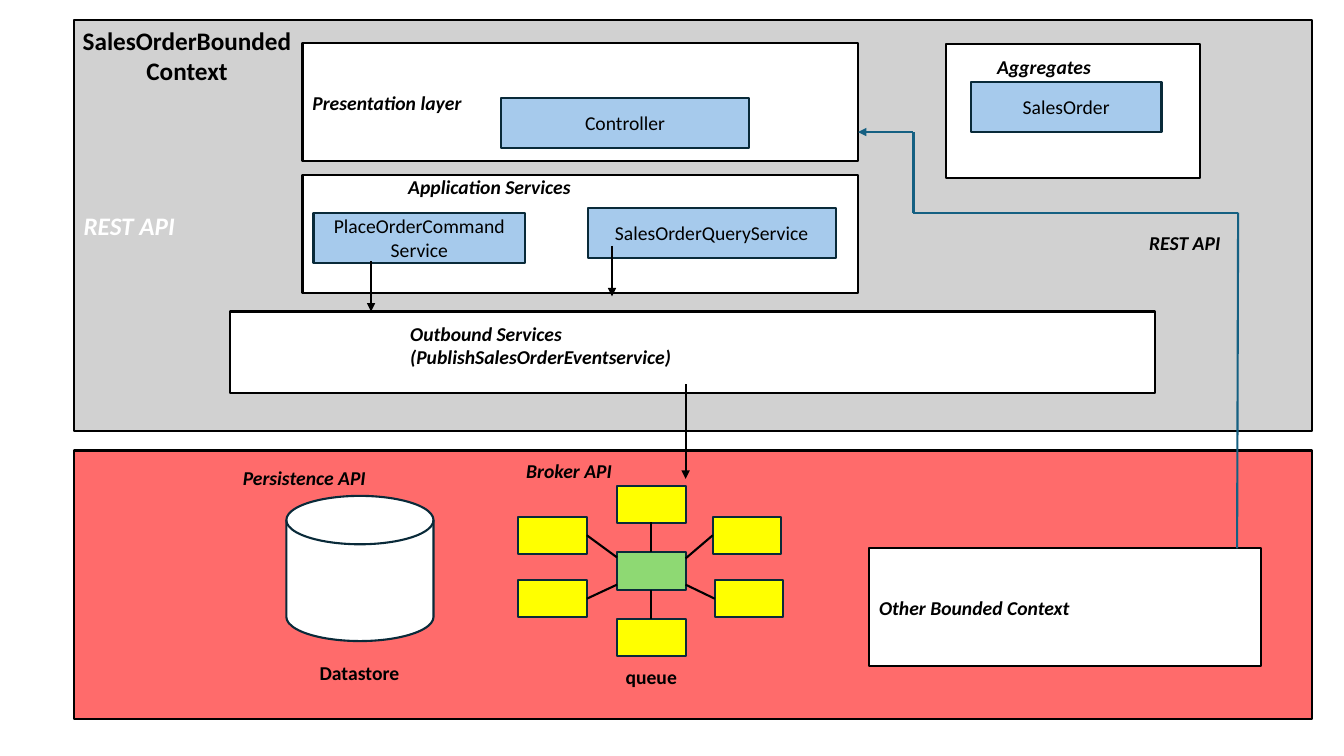
from itertools import pairwise

from lxml import etree
from pptx import Presentation
from pptx.dml import color
from pptx.enum import shapes, text
from pptx.oxml import ns
from pptx.util import Inches, Pt

FONT = "Calibri"
BLACK, WHITE, NAVY, TEAL = "000000", "FFFFFF", "092A39", "156082"
SKY, GREY, RED, YELLOW, GREEN = "A6CAEC", "D1D1D1", "FF0000", "FFFF00", "8ED973"
LEFT, CENTER = text.PP_ALIGN.LEFT, text.PP_ALIGN.CENTER
RECT = shapes.MSO_SHAPE.RECTANGLE


def paint(target, hex_color):
    """Colour a font, or a fill already made solid."""
    target.rgb = color.RGBColor.from_string(hex_color)


def add_xml(parent, tag, **attributes):
    return etree.SubElement(parent, ns.qn(tag), attributes)


def write(frame, lines, size=14, ink=BLACK, bold=False, italic=False, align=LEFT):
    frame.word_wrap = True
    frame.text = lines
    for paragraph in frame.paragraphs:
        paragraph.alignment = align
        font = paragraph.font
        font.name, font.size = FONT, Pt(size)
        font.bold, font.italic = bold, italic
        paint(font.color, ink)


def box(parent, left, top, width, height, fill=WHITE, line=BLACK, kind=RECT, opacity=None):
    shape = parent.add_shape(kind, Inches(left), Inches(top), Inches(width), Inches(height))
    shape.shadow.inherit = False
    shape.fill.solid()
    paint(shape.fill.fore_color, fill)
    if opacity:
        tint = shape.element.spPr.find(".//" + ns.qn("a:srgbClr"))
        add_xml(tint, "a:alpha", val=str(opacity * 1000))
    shape.line.width = Pt(1.5)
    paint(shape.line.color, line)
    shape.text_frame.vertical_anchor = text.MSO_ANCHOR.MIDDLE
    return shape


def layer(parent, left, top, label):
    """White box with a bold italic name at its left."""
    def place(width):
        shape = box(parent, left, top, width, 1.17)
        write(shape.text_frame, label, bold=True, italic=True)
    return place


def component(parent, left, top, width, name):
    shape = box(parent, left, top, width, 0.5, SKY, NAVY)
    write(shape.text_frame, name, align=CENTER)


def caption(parent, left, top, width, words, height=0.34, italic=True, align=LEFT):
    label = parent.add_textbox(Inches(left), Inches(top), Inches(width), Inches(height))
    write(label.text_frame, words, bold=True, italic=italic, align=align)


def link(parent, start, end, ink=BLACK, arrow=False):
    line = parent.add_connector(shapes.MSO_CONNECTOR.STRAIGHT,
                                *(Inches(value) for value in start + end))
    line.line.width = Pt(1.5)
    paint(line.line.color, ink)
    if arrow:
        add_xml(line.line._get_or_add_ln(), "a:tailEnd", type="triangle")
    add_xml(line.element.spPr, "a:effectLst")


def broker(parent):
    """Hub with six nodes around it."""
    cluster = parent.add_group_shape().shapes
    for left, top in [(5.14, 5.13), (5.14, 5.75), (6.12, 4.82),
                      (7.07, 5.13), (7.09, 5.75), (6.12, 6.14)]:
        box(cluster, left, top, 0.68, 0.37, YELLOW, NAVY)
    box(cluster, 6.12, 5.48, 0.68, 0.37, GREEN, NAVY)
    for start, end in [((6.46, 5.48), (6.46, 5.18)), ((6.8, 5.54), (7.07, 5.31)),
                       ((6.8, 5.8), (7.09, 5.94)), ((6.46, 5.85), (6.46, 6.14)),
                       ((6.12, 5.8), (5.82, 5.94)), ((6.12, 5.53), (5.82, 5.31))]:
        link(cluster, start, end)


def heading(title):
    title.left, title.top = Inches(0.56), Inches(0.2)
    title.width, title.height = Inches(2.59), Inches(0.71)
    write(title.text_frame, "SalesOrderBounded Context", size=18, bold=True, align=CENTER)
    title.text_frame.auto_size = text.MSO_AUTO_SIZE.NONE
    title.text_frame.vertical_anchor = text.MSO_ANCHOR.TOP
    # Bring the title in front of the context panel
    title.element.getparent().append(title.element)


def main():
    deck = Presentation()
    deck.slide_width, deck.slide_height = Inches(13.33), Inches(7.5)
    slide = deck.slides.add_slide(deck.slide_layouts[5])
    canvas = slide.shapes

    # Bounded context panel
    context = box(canvas, 0.73, 0.2, 12.28, 4.08, GREY)
    write(context.text_frame, "REST API", size=18, ink=WHITE, bold=True, italic=True)
    heading(canvas.title)

    # Application services
    box(canvas, 3, 1.74, 5.51, 1.17)
    caption(canvas, 3.95, 1.69, 1.89, "Application Services")
    component(canvas, 3.11, 2.11, 2.1, "PlaceOrderCommand\nService")
    component(canvas, 5.83, 2.06, 2.46, "SalesOrderQueryService")

    # Aggregates
    box(canvas, 9.38, 0.44, 2.52, 1.33)
    caption(canvas, 9.41, 0.5, 1.89, "Aggregates", align=CENTER)
    component(canvas, 9.63, 0.81, 1.89, "SalesOrder")

    # Outbound services
    box(canvas, 2.28, 3.09, 9.18, 0.81)
    link(canvas, (3.68, 2.59), (3.68, 3.09), arrow=True)
    link(canvas, (6.07, 2.44), (6.07, 2.94), arrow=True)
    caption(canvas, 3.97, 3.14, 4.01,
            "Outbound Services (PublishSalesOrderEventservice)", height=0.57)

    # Infrastructure panel
    box(canvas, 0.73, 4.47, 12.28, 2.66, RED, opacity=58)
    link(canvas, (6.8, 3.81), (6.8, 4.75), arrow=True)
    caption(canvas, 2.31, 4.57, 1.67, "Persistence API")
    caption(canvas, 5.12, 4.5, 1.25, "Broker API")
    box(canvas, 2.84, 4.92, 1.46, 1.44, WHITE, NAVY,
        shapes.MSO_SHAPE.FLOWCHART_MAGNETIC_DISK)
    caption(canvas, 2.94, 6.51, 1.25, "Datastore", italic=False, align=CENTER)
    broker(canvas)
    caption(canvas, 5.33, 6.55, 2.26, "queue", italic=False, align=CENTER)

    # Presentation layer and the other context
    layer(canvas, 3, 0.43, "Presentation layer")(5.51)
    component(canvas, 4.97, 0.97, 2.46, "Controller")
    layer(canvas, 8.62, 5.44, "Other Bounded Context")(3.89)

    # REST call from the other context to the presentation layer
    route = [(12.27, 5.44), (12.28, 2.11), (9.06, 2.11), (9.06, 1.31), (8.51, 1.31)]
    for start, end in pairwise(route):
        link(canvas, start, end, TEAL, arrow=end == route[-1])
    caption(canvas, 11.3, 2.24, 1.67, "REST API")

    deck.save("out.pptx")


if __name__ == "__main__":
    main()
